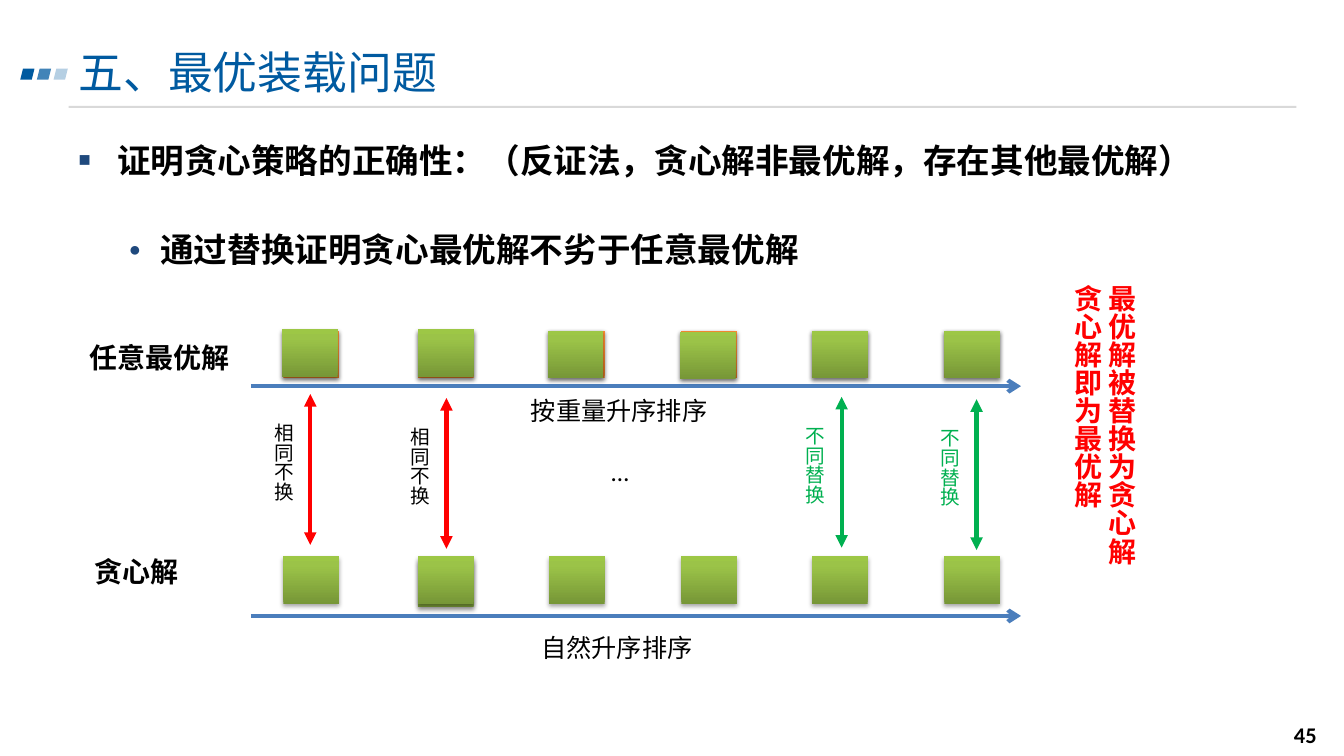
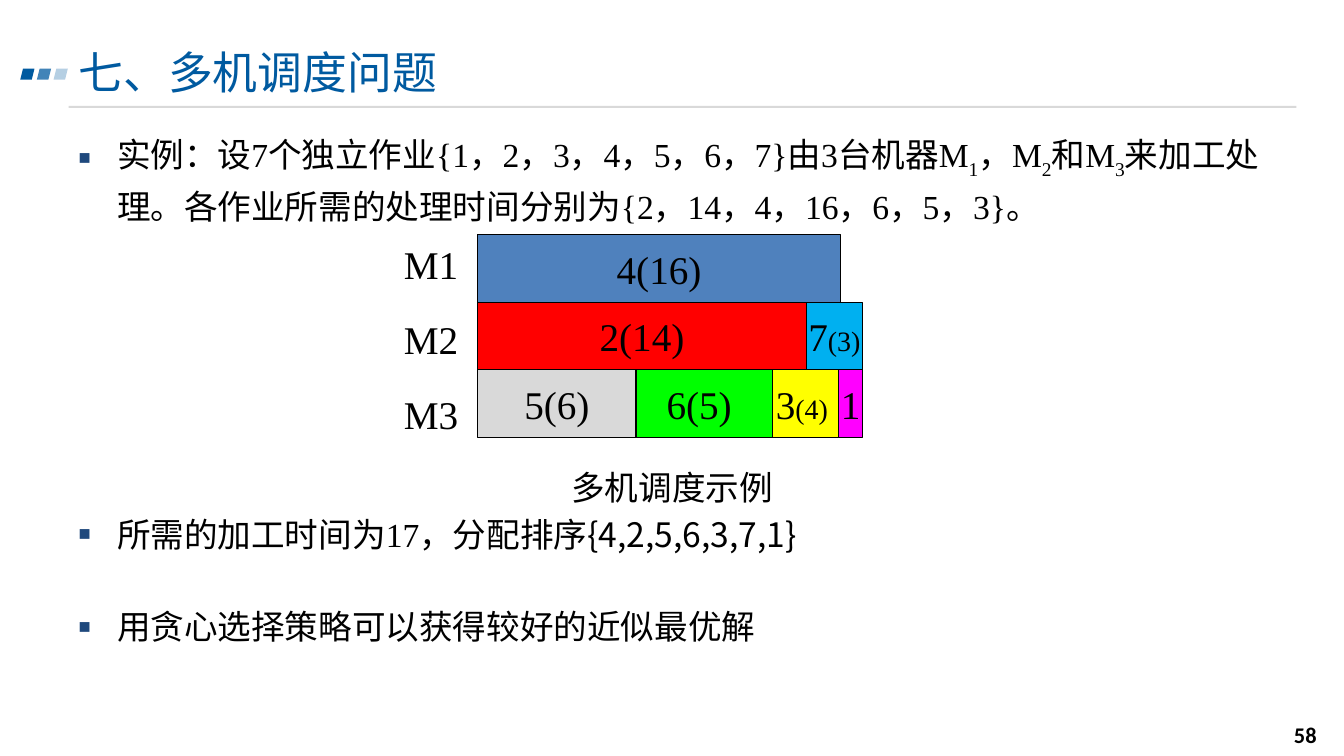
"""Two lecture slides on greedy algorithms: optimal loading and multi-machine scheduling."""
from copy import deepcopy

from lxml import etree
from pptx import Presentation
from pptx import util as u
from pptx.dml.color import RGBColor
from pptx.enum import shapes, text
from pptx.oxml.ns import qn

COLOURS = {
    "black": "000000", "title": "005AA0", "rule": "D9D9D9", "bullet": "1F497D",
    "axis": "4B7EBC", "red": "FF0000", "green": "00B050", "blue": "4F81BD",
    "cyan": "00B0F0", "grey": "D9D9D9", "lime": "00FF00", "yellow": "FFFF00",
    "magenta": "FF00FF",
}
GRADIENTS = {
    "orange": ["CC6E20", "FF9034", "FF9136"],
    "leaf": ["779737", "9BC348", "9DC746"],
}
SANS, CJK, SERIF = "Calibri", "Noto Sans CJK SC", "Times New Roman"
RECTANGLE = shapes.MSO_SHAPE.RECTANGLE


def write(para, pieces, size, colour="black", bold=False, name=SANS):
    for piece, attributes in pieces:
        span = para.add_run()
        span.text = piece
        for key, value in attributes.items():
            span.font._element.set(key, value)
    font = para.font
    font.size, font.bold, font.name = u.Pt(size), bold, name
    font.color.rgb = RGBColor.from_string(COLOURS[colour])
    etree.SubElement(font._element, qn("a:ea"), typeface=CJK)


def add_block(page, preset, place, fill):
    block = page.shapes.add_shape(preset, *map(u.Cm, place))
    block.shadow.inherit = False
    block.line.fill.background()
    if fill in COLOURS:
        block.fill.solid()
        block.fill.fore_color.rgb = RGBColor.from_string(COLOURS[fill])
        return block
    block.fill.gradient()
    block.fill.gradient_angle = 90
    stop_list = block._element.spPr.find(".//" + qn("a:gsLst"))
    stop_list.append(deepcopy(stop_list[0]))
    for stop, position, colour in zip(block.fill.gradient_stops, (0, 0.8, 1), GRADIENTS[fill]):
        stop.position = position
        stop.color.rgb = RGBColor.from_string(colour)
    effects = block._element.spPr.find(qn("a:effectLst"))
    shadow = etree.SubElement(effects, qn("a:outerShdw"), blurRad="40000", dist="23000",
                              dir="5400000", rotWithShape="0")
    black = etree.SubElement(shadow, qn("a:srgbClr"), val=COLOURS["black"])
    etree.SubElement(black, qn("a:alpha"), val="35000")
    return block


deck = Presentation()
deck.slide_width, deck.slide_height = u.Cm(33.87), u.Cm(19.05)

SUBSCRIPT = {"baseline": "-25000"}
contents = [
    ("五、最优装载问题", "45", CJK, True, [
        (0, 0, [("证明贪心策略的正确性：（反证法，贪心解非最优解，存在其他最优解）", {})]),
        (1, 31, [("通过替换证明贪心最优解不劣于任意最优解", {})]),
    ]),
    ("七、多机调度问题", "58", SERIF, False, [
        (0, 0, [("实例：设7个独立作业{1，2，3，4，5，6，7}由3台机器M", {}), ("1", SUBSCRIPT),
                ("，M", {}), ("2", SUBSCRIPT), ("和M", {}), ("3", SUBSCRIPT),
                ("来加工处理。各作业所需的处理时间分别为{2，14，4，16，6，5，3}。", {})]),
        (0, 201, [("所需的加工时间为17，", {}), ("分配排序{4,2,5,6,3,7,1}", {})]),
        (0, 33, [("用贪心选择策略可以获得较好的近似最优解", {})]),
    ]),
]
bullets = [("■", 0.97, -0.97), ("●", 2.06, -0.79)]

for title, number, body_font, bold, paragraphs in contents:
    page = deck.slides.add_slide(deck.slide_layouts[6])
    add_block(page, RECTANGLE, (1.73, 2.67, 30.94, 0.05), "rule")
    for index, opacity in enumerate((100, 74, 29)):
        mark = add_block(page, shapes.MSO_SHAPE.PARALLELOGRAM,
                         (0.51 + 0.42 * index, 1.73, 0.36, 0.28), "title")
        tint = mark._element.spPr.find(".//" + qn("a:srgbClr"))
        etree.SubElement(tint, qn("a:alpha"), val=str(opacity * 1000))

    box = page.shapes.add_textbox(u.Cm(31.6), u.Cm(18.01), u.Cm(1.83), u.Cm(1.02))
    box.text_frame.word_wrap = True
    box.text_frame.vertical_anchor = text.MSO_ANCHOR.MIDDLE
    para = box.text_frame.paragraphs[0]
    para.alignment = text.PP_ALIGN.RIGHT
    write(para, [(number, {})], 16, bold=True)

    box = page.shapes.add_textbox(u.Cm(1.73), u.Cm(1.12), u.Cm(27.99), u.Cm(1.8))
    box.text_frame.word_wrap = True
    para = box.text_frame.paragraphs[0]
    para.line_spacing = u.Pt(35)
    write(para, [(title, {})], 32, "title")

    body = page.shapes.add_textbox(u.Cm(1.73), u.Cm(3.25), u.Cm(30.81), u.Cm(13.2)).text_frame
    body.word_wrap = True
    for index, (level, gap, pieces) in enumerate(paragraphs):
        para = body.add_paragraph() if index else body.paragraphs[0]
        para.level = level
        para.line_spacing = u.Pt(33)
        if gap:
            para.space_before = u.Pt(gap)
        symbol, margin, indent = bullets[level]
        settings = para._p.get_or_add_pPr()
        settings.set("marL", str(u.Cm(margin)))
        settings.set("indent", str(u.Cm(indent)))
        colour = etree.SubElement(settings, qn("a:buClr"))
        etree.SubElement(colour, qn("a:srgbClr"), val=COLOURS["bullet"])
        etree.SubElement(settings, qn("a:buSzPct"), val="60000")
        etree.SubElement(settings, qn("a:buFont"), typeface="Arial")
        etree.SubElement(settings, qn("a:buChar"), char=symbol)
        write(para, pieces, 24, bold=bold, name=body_font)

body.paragraphs[1].runs[1].font.name = CJK
loading, scheduling = deck.slides

swaps = [
    (7.82, 9.93, "red", "相同不换", "black"),
    (11.25, 10.03, "red", "相同不换", "black"),
    (21.21, 10, "green", "不同替换", "green"),
    (24.61, 10.06, "green", "不同替换", "green"),
]
arrows = [(6.32, y, 25.73, y, "axis", {"tailEnd": "arrow"}) for y in (9.73, 15.52)]
arrows += [(x, y, x, y + 3.8, colour, {"headEnd": "triangle", "tailEnd": "triangle"})
           for x, y, colour, *_ in swaps]
for *ends, colour, heads in arrows:
    arrow = loading.shapes.add_connector(shapes.MSO_CONNECTOR.STRAIGHT, *map(u.Cm, ends))
    arrow.line.width = u.Pt(3)
    arrow.line.color.rgb = RGBColor.from_string(COLOURS[colour])
    for end, kind in heads.items():
        etree.SubElement(arrow.line._get_or_add_ln(), qn("a:" + end), type=kind)
    etree.SubElement(arrow._element.spPr, qn("a:effectLst"))

columns = [7.14, 10.54, 13.84, 17.17, 20.47, 23.8]
nudges = [(-0.03, -0.03), (0, -0.03), (-0.03, 0), (-0.03, 0.03), (0, 0), (0, 0)]
squares = [(x, 8.33, "orange") for x in columns]
squares += [(10.54, 14.12, "leaf")]
squares += [(x, 14.02, "leaf") for x in columns]
squares += [(x + dx, 8.33 + dy, "leaf") for x, (dx, dy) in zip(columns, nudges)]
for x, y, fill in squares:
    add_block(loading, RECTANGLE, (x, y, 1.4, 1.19), fill)

row_height = 1.7
machines = [
    [("4", "(16)", 9.14, "blue", 28)],
    [("2", "(14)", 8.28, "red", 28), ("7", "(3)", 1.42, "cyan", 20)],
    [("5", "(6)", 3.99, "grey", 28), ("6", "(5) ", 3.43, "lime", 28),
     ("3", "(4) ", 1.68, "yellow", 20), ("1", "", 0.6, "magenta", 28)],
]
for row, jobs in enumerate(machines):
    left = 12.04
    for job, hours, width, colour, hours_size in jobs:
        block = add_block(scheduling, RECTANGLE,
                          (left, 5.92 + row * row_height, width, row_height), colour)
        block.line.color.rgb = RGBColor.from_string(COLOURS["black"])
        block.line.width = u.Pt(0.75)
        block.text_frame.word_wrap = False
        block.text_frame.vertical_anchor = text.MSO_ANCHOR.MIDDLE
        para = block.text_frame.paragraphs[0]
        para.alignment = text.PP_ALIGN.CENTER
        pieces = [(job + hours, {})]
        if hours_size != 28:
            pieces = [(job, {}), (hours, {"sz": str(hours_size * 100)})]
        write(para, pieces, 28, name=SERIF)
        left += width

labels = [
    (loading, (2.01, 8.46, 4.06, 1.12), "任意最优解", 20, "black", True, SANS, False),
    (loading, (2.13, 13.84, 2.64, 1.12), "贪心解", 20, "black", True, SANS, False),
    (loading, (13.13, 9.83, 5, 1.02), "按重量升序排序", 18, "black", False, SANS, False),
    (loading, (13.39, 15.82, 4.37, 1.02), "自然升序排序", 18, "black", False, SANS, False),
    (loading, (15.16, 11.38, 0.97, 1.02), "…", 18, "black", False, SANS, False),
    (loading, (26.57, 6.93, 2.24, 9.88), "最优解被替换为贪心解\n贪心解即为最优解",
     20, "red", True, SANS, True),
    (scheduling, (14.15, 11.63, 5.61, 1.27), "多机调度示例", 24, "black", False, SERIF, False),
]
labels += [(loading, (x - 1.37, y + 0.49, 1.12, 3), words, 14, colour, False, SANS, True)
           for x, y, _, words, colour in swaps]
labels += [(scheduling, (9.93, 5.92 + 1.9 * row, 1.93, 1.45), f"M{row + 1}",
            28, "black", False, SERIF, False) for row in range(len(machines))]
for page, place, words, size, colour, bold, name, vertical in labels:
    box = page.shapes.add_textbox(*map(u.Cm, place))
    frame = box.text_frame
    frame.word_wrap = False
    frame.auto_size = text.MSO_AUTO_SIZE.SHAPE_TO_FIT_TEXT
    if vertical:
        box._element.txBody.bodyPr.set("vert", "eaVert")
    for index, line in enumerate(words.split("\n")):
        para = frame.add_paragraph() if index else frame.paragraphs[0]
        write(para, [(line, {})], size, colour, bold, name)

deck.save("out.pptx")
